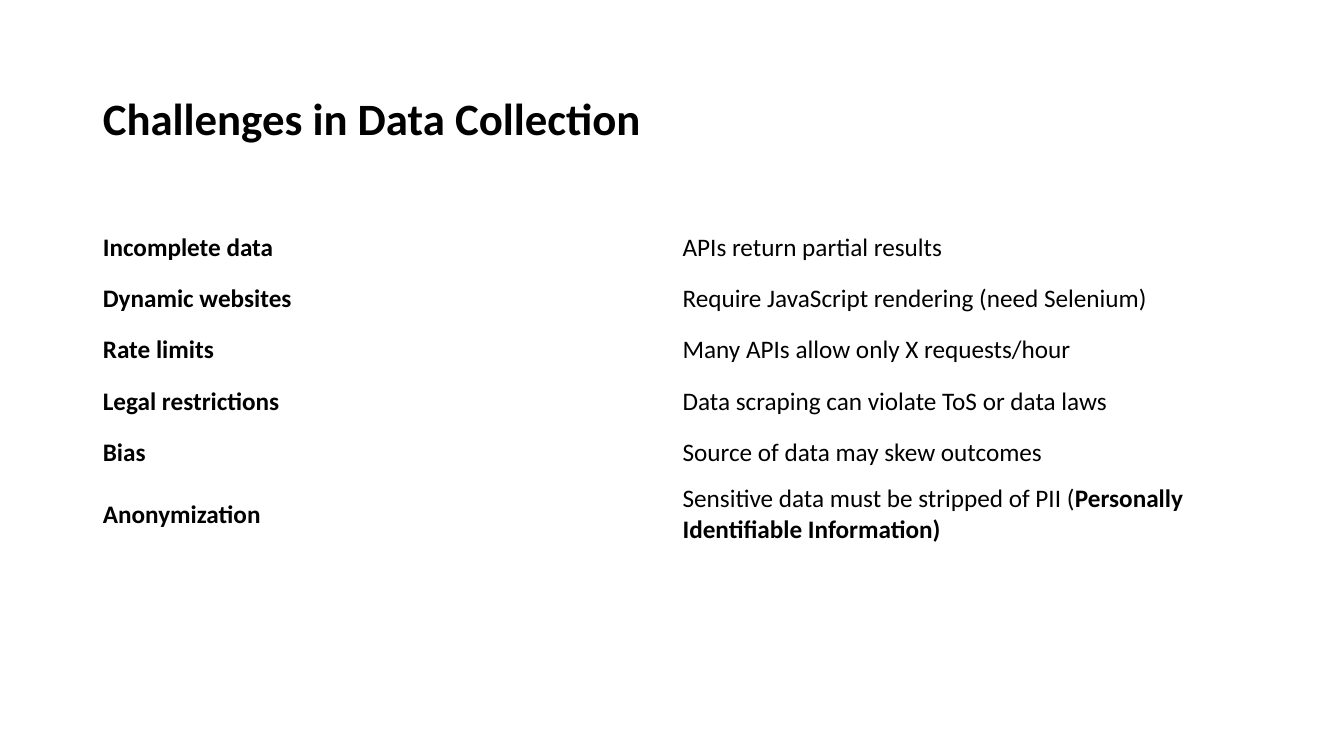
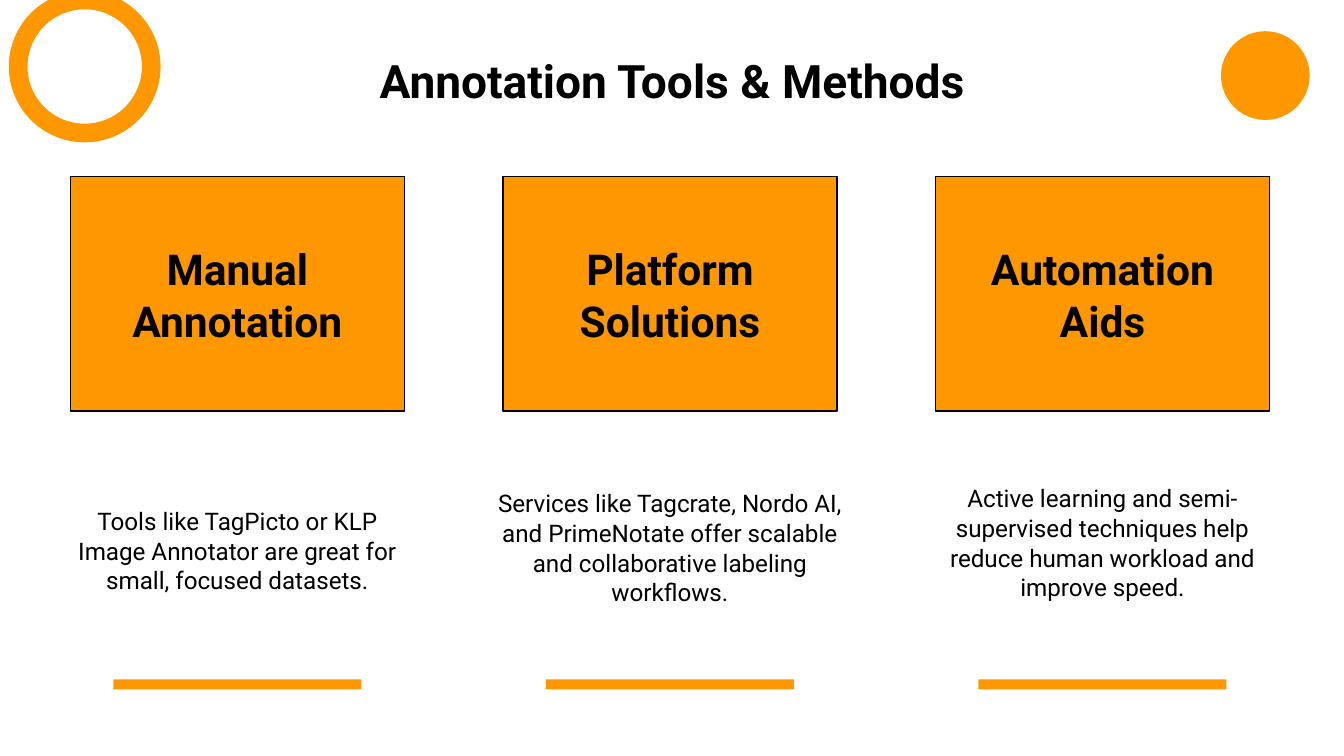
from pptx import Presentation
from pptx.dml.color import RGBColor
from pptx.enum.shapes import MSO_SHAPE as SHAPE
from pptx.enum.text import MSO_ANCHOR as ANCHOR, PP_ALIGN as ALIGN
from pptx.util import Inches, Pt

COLORS = {"text": "000000", "accent": "FF9800", "outline": "000000"}

CHALLENGES = [
    ("Incomplete data", [("APIs return partial results", False)]),
    ("Dynamic websites", [("Require JavaScript rendering (need Selenium)", False)]),
    ("Rate limits", [("Many APIs allow only X requests/hour", False)]),
    ("Legal restrictions", [("Data scraping can violate ToS or data laws", False)]),
    ("Bias", [("Source of data may skew outcomes", False)]),
    ("Anonymization", [("Sensitive data must be stripped of PII (", False),
                       ("Personally Identifiable Information)", True)]),
]

# heading, description, vertical centre of the description
METHODS = [
    ("Manual Annotation",
     "Tools like TagPicto or KLP Image Annotator are great for small, "
     "focused datasets.", 5.46),
    ("Platform Solutions",
     "Services like Tagcrate, Nordo AI, and PrimeNotate offer scalable and "
     "collaborative labeling workflows.", 5.43),
    ("Automation Aids",
     "Active learning and semi-supervised techniques help reduce human "
     "workload and improve speed.", 5.38),
]


def color(name):
    return RGBColor.from_string(COLORS[name])


def write(tf, runs, font, size, align=ALIGN.LEFT, spacing=None):
    """Fill the first paragraph with (text, bold) runs."""
    tf.word_wrap = True
    tf.vertical_anchor = ANCHOR.MIDDLE
    p = tf.paragraphs[0]
    p.alignment = align
    if spacing:
        p.line_spacing = spacing
    for text, bold in runs:
        r = p.add_run()
        r.text = text
        r.font.name = font
        r.font.size = Pt(size)
        r.font.bold = bold
        r.font.color.rgb = color("text")


def add_titled_slide(prs, title, box, font, size, align):
    s = prs.slides.add_slide(prs.slide_layouts[5])
    sp = s.shapes.title
    sp.left, sp.top, sp.width, sp.height = (Inches(v) for v in box)
    write(sp.text_frame, [(title, True)], font, size, align)
    return s


def add_shape(s, kind, box, fill=None, line=None, weight=1):
    sp = s.shapes.add_shape(kind, *(Inches(v) for v in box))
    sp.shadow.inherit = False
    if fill:
        sp.fill.solid()
        sp.fill.fore_color.rgb = color(fill)
    else:
        sp.fill.background()
    if line:
        sp.line.color.rgb = color(line)
        sp.line.width = Pt(weight)
    else:
        sp.line.fill.background()
    return sp


def add_challenge_table(s, left, top, width, row_height=0.51, last_height=0.7):
    heights = [row_height] * (len(CHALLENGES) - 1) + [last_height]
    frame = s.shapes.add_table(len(CHALLENGES), 2, Inches(left), Inches(top),
                               Inches(width), Inches(sum(heights)))
    table = frame.table
    table.first_row = table.horz_banding = False
    for row, height, (name, detail) in zip(table.rows, heights, CHALLENGES):
        row.height = Inches(height)
        for cell, runs in zip(row.cells, ([(name, True)], detail)):
            cell.fill.background()
            cell.vertical_anchor = ANCHOR.MIDDLE
            write(cell.text_frame, runs, "Calibri", 18)


def add_method(s, left, top, heading, description, text_middle):
    """Card with its heading, a description below and a closing bar."""
    width, text_width, text_height, bar_width = 3.31, 3.66, 1.92, 2.46
    middle = left + width / 2

    card = add_shape(s, SHAPE.RECTANGLE, (left, top, width, 2.33), "accent", "outline")
    tf = card.text_frame
    tf.margin_left = tf.margin_right = Inches(0.15)
    write(tf, [(heading, True)], "Roboto", 30.4, ALIGN.CENTER, 1.02)

    body = s.shapes.add_textbox(
        Inches(middle - text_width / 2), Inches(text_middle - text_height / 2),
        Inches(text_width), Inches(text_height))
    write(body.text_frame, [(description, False)], "Roboto", 17.3, ALIGN.CENTER, 1.02)

    add_shape(s, SHAPE.RECTANGLE,
              (middle - bar_width / 2, top + 4.99, bar_width, 0.1), "accent")


def build_challenges(prs):
    s = add_titled_slide(prs, "Challenges in Data Collection",
                         (0.92, 0.85, 6.67, 0.64), "Calibri", 32, ALIGN.LEFT)
    add_challenge_table(s, 0.92, 2.2, 11.5)


def build_methods(prs):
    s = add_titled_slide(prs, "Annotation Tools & Methods",
                         (3.54, 0.4, 6.25, 0.79), "Roboto", 32.9, ALIGN.CENTER)
    add_shape(s, SHAPE.OVAL, (0.18, 0, 1.32, 1.32), line="accent", weight=13.33)
    add_shape(s, SHAPE.OVAL, (12.11, 0.31, 0.88, 0.88), "accent")
    for i, method in enumerate(METHODS):
        add_method(s, 0.7 + i * 4.29, 1.75, *method)


def main():
    prs = Presentation()
    prs.slide_width, prs.slide_height = Inches(13.33), Inches(7.5)
    build_challenges(prs)
    build_methods(prs)
    prs.save("out.pptx")


if __name__ == "__main__":
    main()
